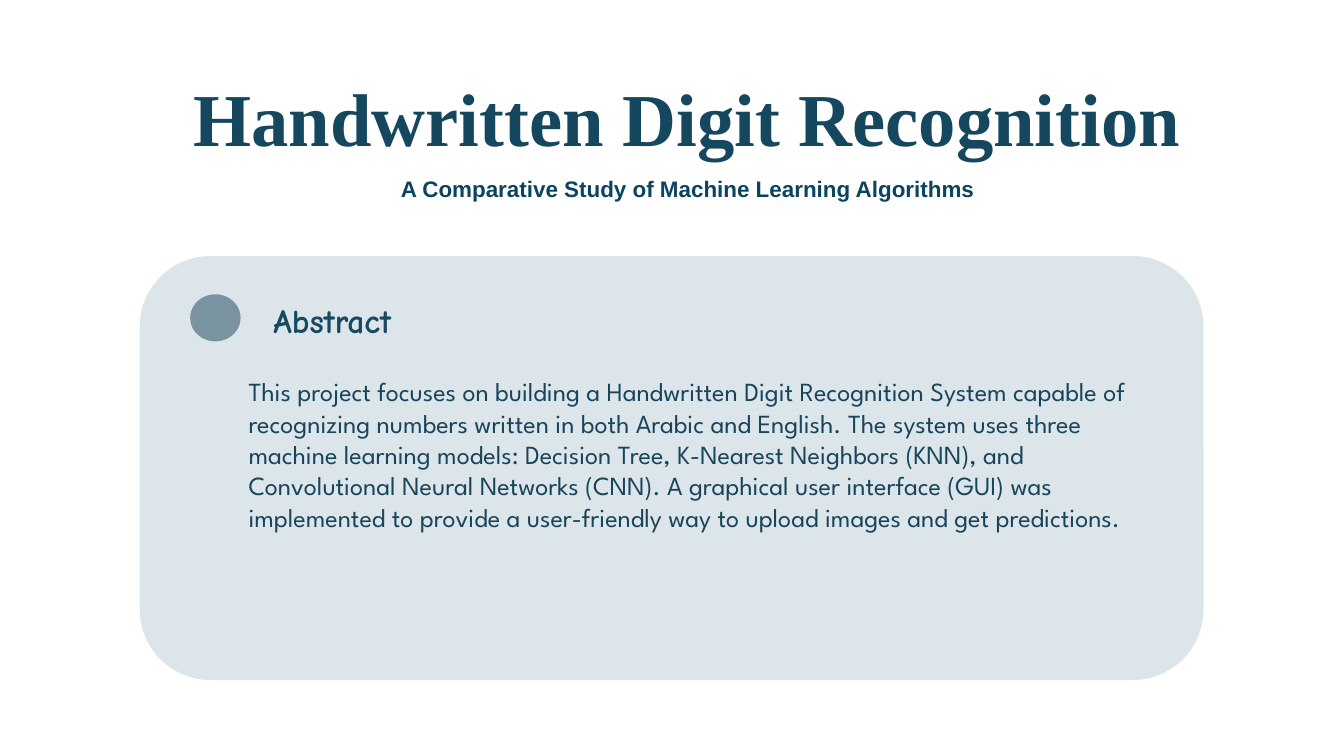
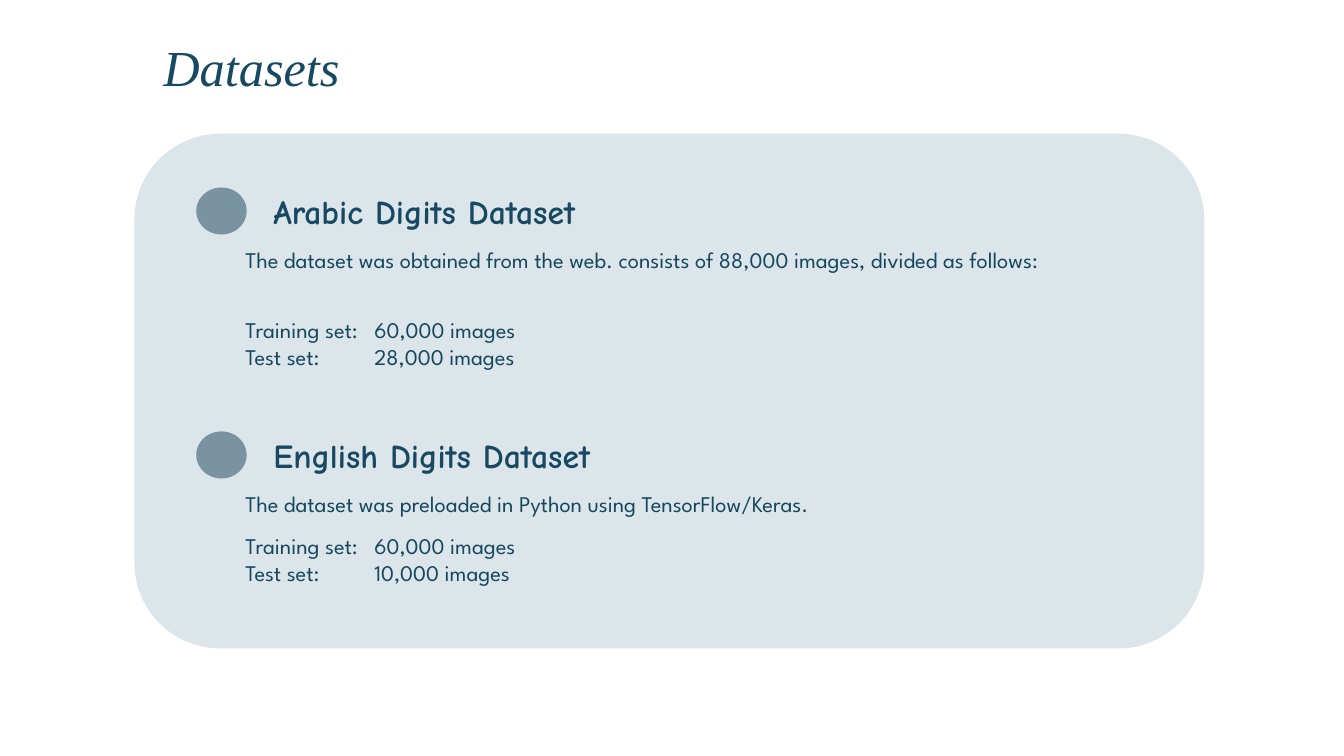
from lxml import etree
from pptx import Presentation
from pptx import util as u
from pptx.dml.color import RGBColor
from pptx.enum import shapes, text
from pptx.oxml.ns import qn

COLORS = {
    "panel": "DCE5EA",
    "dot": "7993A0",
    "heading": "184963",
    "title": "15485F",
    "subtitle": "0C435F",
    "body": "19455B",
}
SERIF, SANS, HAND, BODY = "Times New Roman", "Arial", "Comic Neue", "League Spartan"
LEFT, CENTER = text.PP_ALIGN.LEFT, text.PP_ALIGN.CENTER


class Deck:
    """Holds the shared style and the slide being built."""

    def __init__(self):
        self.prs = Presentation()
        self.prs.slide_width = u.Inches(20)
        self.prs.slide_height = u.Inches(11.25)
        self.s = None

    def new_slide(self):
        self.s = self.prs.slides.add_slide(self.prs.slide_layouts[5])

    def style(self, p, font, size, color, bold=False, italic=False,
              align=LEFT, spacing=None):
        p.alignment = align
        if spacing:
            p.line_spacing = u.Pt(spacing)
        for r in p.runs:
            r.font.name = font
            r.font.size = u.Pt(size)
            r.font.bold = bold
            r.font.italic = italic
            r.font.color.rgb = RGBColor.from_string(COLORS[color])

    def title(self, box, lines, wrap=True):
        """Fill the title placeholder; each line is (words, style)."""
        sp = self.s.shapes.title
        sp.left, sp.top, sp.width, sp.height = map(u.Inches, box)
        tf = sp.text_frame
        tf.text = "\n".join(words for words, _ in lines)
        tf.word_wrap = wrap
        tf.auto_size = text.MSO_AUTO_SIZE.NONE
        tf.vertical_anchor = text.MSO_ANCHOR.TOP
        for p, (_, look) in zip(tf.paragraphs, lines):
            self.style(p, **look)

    def shape(self, kind, box, color):
        sp = self.s.shapes.add_shape(kind, *map(u.Inches, box))
        sp.shadow.inherit = False
        sp.fill.solid()
        sp.fill.fore_color.rgb = RGBColor.from_string(COLORS[color])
        sp.line.fill.background()

    def panel(self, *box):
        self.shape(shapes.MSO_SHAPE.ROUNDED_RECTANGLE, box, "panel")

    def text(self, box, words, inset=True, tab=None, **look):
        tf = self.s.shapes.add_textbox(*map(u.Inches, box)).text_frame
        tf.word_wrap = True
        if not inset:
            tf.margin_left = tf.margin_right = tf.margin_top = tf.margin_bottom = 0
        tf.text = words
        for p in tf.paragraphs:
            self.style(p, **look)
            if tab:
                tabs = etree.SubElement(p._p.get_or_add_pPr(), qn("a:tabLst"))
                etree.SubElement(tabs, qn("a:tab"), pos=str(u.Inches(tab)), algn="l")

    def heading(self, words, top, dot_left, dot_top, width):
        self.shape(shapes.MSO_SHAPE.OVAL, (dot_left, dot_top, 0.75, 0.7), "dot")
        self.text((3.97, top, width, 0.71), words,
                  font=HAND, size=36, color="heading", bold=True)

    def detail(self, words, top, height=1.06, tab=None):
        self.text((3.65, top, 12.02, height), words, inset=False, tab=tab,
                  font=BODY, size=24, color="title", spacing=28.5)

    def dataset(self, name, note, train, test, top, figures_top):
        self.heading(name, top, 2.92, top, 6.36)
        self.detail(note, top + 0.88, height=0.73)
        self.detail(f"Training set:\t{train} images\nTest set:\t{test} images",
                    figures_top, tab=1.92)


def abstract_slide(deck):
    deck.new_slide()
    deck.title((1, 1.74, 18.46, 1.64), [
        ("Handwritten Digit Recognition",
         dict(font=SERIF, size=80, color="title", bold=True, align=CENTER, spacing=44)),
        ("A Comparative Study of Machine Learning Algorithms",
         dict(font=SANS, size=24, color="subtitle", bold=True, align=CENTER, spacing=44)),
    ])
    deck.panel(2.08, 3.81, 15.83, 6.31)
    deck.heading("Abstract", 4.41, 2.83, 4.38, 4.53)
    deck.text(
        (3.6, 5.54, 13.3, 2.93),
        "This project focuses on building a Handwritten Digit Recognition System "
        "capable of recognizing numbers written in both Arabic and English. The "
        "system uses three machine learning models: Decision Tree, K-Nearest "
        "Neighbors (KNN), and Convolutional Neural Networks (CNN). A graphical "
        "user interface (GUI) was implemented to provide a user-friendly way to "
        "upload images and get predictions.",
        font=BODY, size=28, color="body")


def datasets_slide(deck):
    deck.new_slide()
    deck.title((2.33, 0.49, 2.85, 1.31), [
        ("Datasets", dict(font=SERIF, size=54, color="heading", italic=True)),
    ], wrap=False)
    deck.panel(2, 1.99, 15.92, 7.66)
    deck.dataset(
        "Arabic Digits Dataset",
        "The dataset was obtained from the web. consists of 88,000 images, "
        "divided as follows:",
        "60,000", "28,000", top=2.79, figures_top=4.71)
    deck.dataset(
        "English Digits Dataset",
        "The dataset was preloaded in Python using TensorFlow/Keras.",
        "60,000", "10,000", top=6.42, figures_top=7.93)


def main():
    deck = Deck()
    abstract_slide(deck)
    datasets_slide(deck)
    deck.prs.save("out.pptx")


if __name__ == "__main__":
    main()
